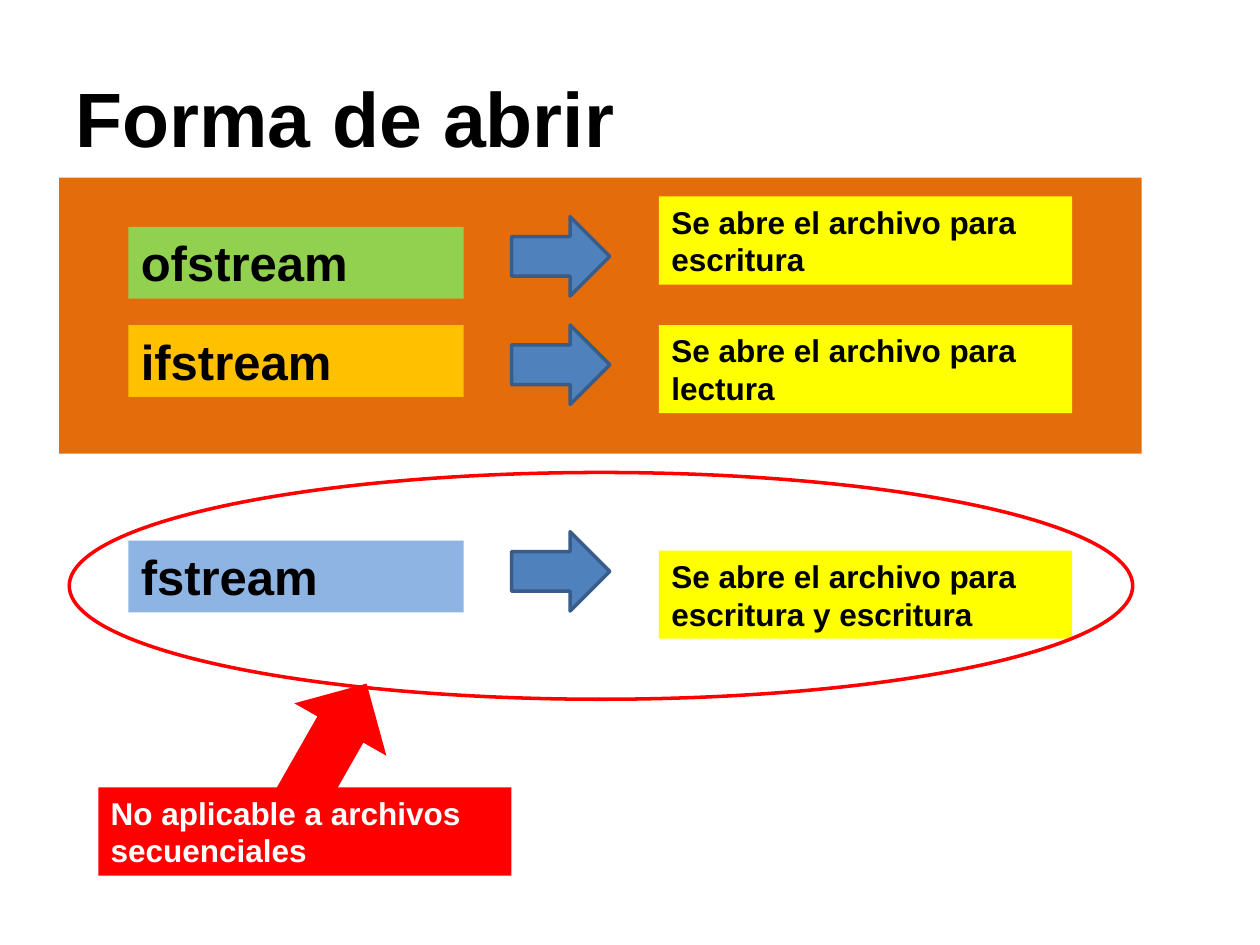
from pptx import Presentation
from pptx.dml.color import RGBColor
from pptx.enum.shapes import MSO_SHAPE
from pptx.enum.text import MSO_ANCHOR, MSO_AUTO_SIZE, PP_ALIGN
from pptx.util import Inches, Pt

RECTANGLE = MSO_SHAPE.RECTANGLE
RIGHT_ARROW = MSO_SHAPE.RIGHT_ARROW
OVAL = MSO_SHAPE.OVAL
TOP, MIDDLE = MSO_ANCHOR.TOP, MSO_ANCHOR.MIDDLE
LEFT = PP_ALIGN.LEFT
NO_FIT, GROW = MSO_AUTO_SIZE.NONE, MSO_AUTO_SIZE.SHAPE_TO_FIT_TEXT

BLACK = RGBColor(0x00, 0x00, 0x00)
WHITE = RGBColor(0xFF, 0xFF, 0xFF)
RED = RGBColor(0xFF, 0x00, 0x00)
ORANGE = RGBColor(0xE4, 0x6C, 0x0A)
GREEN = RGBColor(0x92, 0xD0, 0x50)
AMBER = RGBColor(0xFF, 0xC0, 0x00)
SKY = RGBColor(0x8E, 0xB4, 0xE3)
YELLOW = RGBColor(0xFF, 0xFF, 0x00)
BLUE = RGBColor(0x4F, 0x81, 0xBD)
NAVY = RGBColor(0x38, 0x5D, 0x8A)

CLASS_COLUMN, ARROW_COLUMN, MEANING_COLUMN = 1.02, 4.06, 5.23
CLASS_SIZE, ARROW_SIZE, NOTE_SIZE = (2.66, 0.57), (0.78, 0.63), (3.28, 0.7)

STREAMS = [
    ("ofstream", GREEN, 1.8, 1.72, "Se abre el archivo para escritura", 1.56),
    ("ifstream", AMBER, 2.58, 2.58, "Se abre el archivo para lectura", 2.58),
    ("fstream", SKY, 4.29, 4.22,
     "Se abre el archivo para escritura y escritura", 4.37),
]


def write(frame, text, size, color, anchor, fit):
    layout = {"word_wrap": True, "auto_size": fit, "vertical_anchor": anchor}
    for name, value in layout.items():
        setattr(frame, name, value)
    paragraph = frame.paragraphs[0]
    paragraph.alignment = LEFT
    run = paragraph.add_run()
    run.text = text
    for name, value in {"name": "Arial", "size": Pt(size), "bold": True}.items():
        setattr(run.font, name, value)
    run.font.color.rgb = color


def add_figure(slide, kind, position, size, fill=None, line=None):
    figure = slide.shapes.add_shape(kind, *map(Inches, position + size))
    figure.shadow.inherit = False
    if fill is None:
        figure.fill.background()
    else:
        figure.fill.solid()
        figure.fill.fore_color.rgb = fill
    if line is None:
        figure.line.fill.background()
    else:
        figure.line.color.rgb = line
        figure.line.width = Pt(2)
    return figure


def add_label(slide, text, position, size, fill, points, color=BLACK):
    label = add_figure(slide, RECTANGLE, position, size, fill)
    write(label.text_frame, text, points, color, TOP, GROW)


def add_title(slide, text):
    title = slide.shapes.title
    place = {"left": 0.5, "top": 0.3, "width": 9, "height": 1.25}
    for name, value in place.items():
        setattr(title, name, Inches(value))
    write(title.text_frame, text, 44, BLACK, MIDDLE, NO_FIT)


def add_stream(slide, name, fill, class_row, arrow_row, meaning, meaning_row):
    add_label(slide, name, (CLASS_COLUMN, class_row), CLASS_SIZE, fill, 28)
    add_label(slide, meaning, (MEANING_COLUMN, meaning_row), NOTE_SIZE, YELLOW, 18)
    add_figure(slide, RIGHT_ARROW, (ARROW_COLUMN, arrow_row), ARROW_SIZE, BLUE, NAVY)


def main():
    deck = Presentation()
    deck.slide_width, deck.slide_height = Inches(10), Inches(7.5)
    slide = deck.slides.add_slide(deck.slide_layouts[5])
    add_title(slide, "Forma de abrir")
    add_figure(slide, RECTANGLE, (0.47, 1.41), (8.59, 2.19), ORANGE)
    for stream in STREAMS:
        add_stream(slide, *stream)
    add_figure(slide, OVAL, (0.55, 3.75), (8.44, 1.8), line=RED)
    pointer = add_figure(slide, RIGHT_ARROW, (2.11, 5.47), (1.07, 0.84), RED)
    pointer.rotation = 299.7
    add_label(slide, "No aplicable a archivos secuenciales",
              (0.78, 6.25), NOTE_SIZE, RED, 18, WHITE)
    deck.save("out.pptx")


if __name__ == "__main__":
    main()
